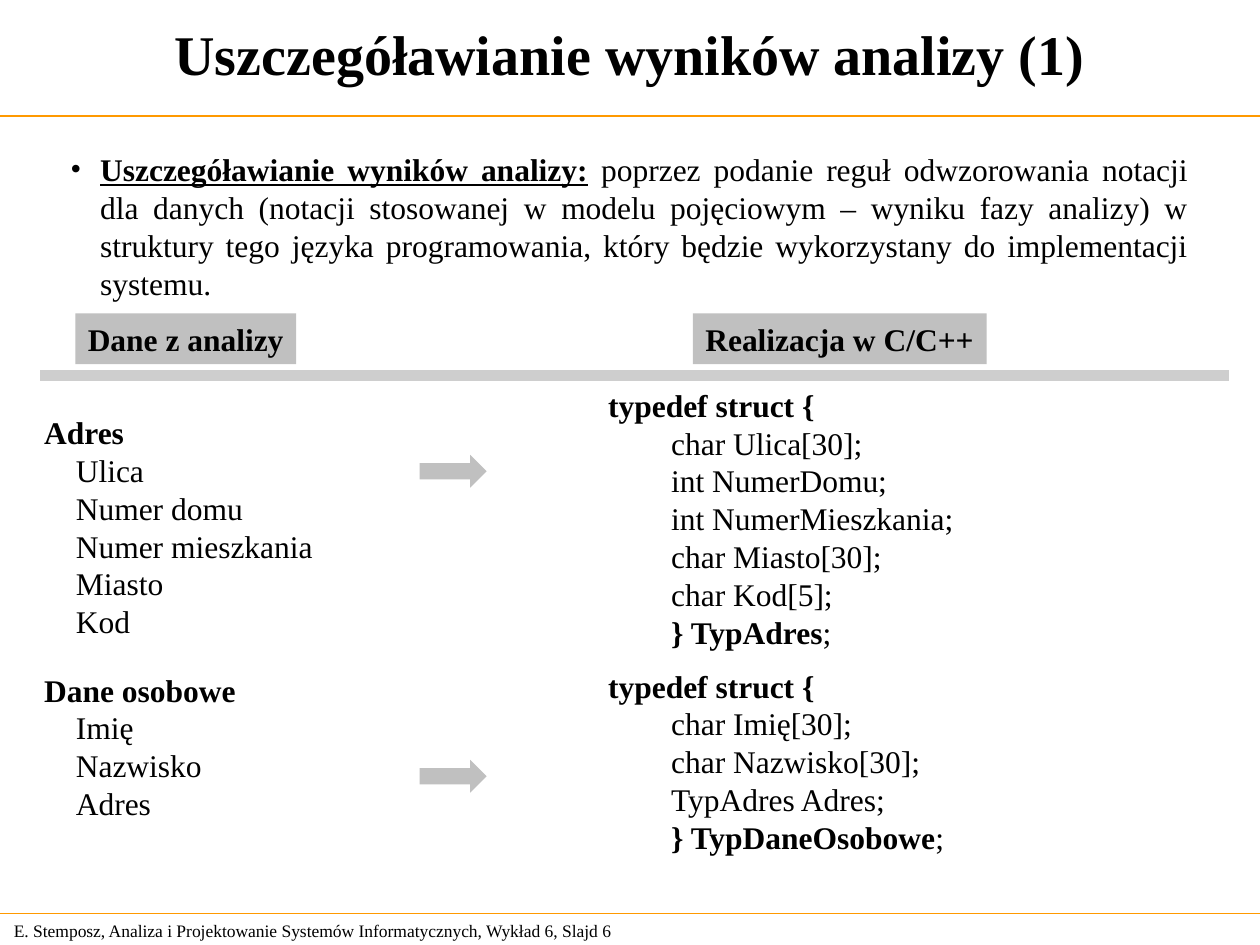
from lxml import etree
from pptx import Presentation
from pptx import util as u
from pptx.dml.color import RGBColor
from pptx.enum import shapes, text
from pptx.oxml.ns import qn

COLORS = {"ink": "000000", "gray": "C0C0C0", "bar": "CECECE", "rule": "FF9900"}
FONT = "Times New Roman"
MARGIN_X, MARGIN_Y = 0.25, 0.13

TITLE = "Uszczegóławianie wyników analizy (1)"
FOOTER = "E. Stemposz, Analiza i Projektowanie Systemów Informatycznych, Wykład 6, Slajd 6"
INTRO = [
    ("Uszczegóławianie wyników analizy:", "bu"),
    (" ", ""),
    ("poprzez podanie reguł odwzorowania notacji dla danych (notacji stosowanej "
     "w modelu pojęciowym – wyniku fazy analizy) w struktury tego języka "
     "programowania, który będzie wykorzystany do implementacji systemu.", ""),
]
HEADINGS = [("Dane z analizy", 1.52, 4.45), ("Realizacja w C/C++", 13.97, 5.92)]
ENTITIES = [
    ("Adres", ["Ulica", "Numer domu", "Numer mieszkania", "Miasto", "Kod"], 8.2, 4.83),
    ("Dane osobowe", ["Imię", "Nazwisko", "Adres"], 13.39, 3.3),
]
STRUCTS = [
    ("TypAdres", ["char Ulica[30];", "int NumerDomu;", "int NumerMieszkania;",
                  "char Miasto[30];", "char Kod[5];"]),
    ("TypDaneOsobowe", ["char Imię[30];", "char Nazwisko[30];", "TypAdres Adres;"]),
]
ARROW_TOPS = [9.17, 15.32]
RULE_TOPS = [2.34, 18.42]


def color(name):
    return RGBColor.from_string(COLORS[name])


def place(shape, left, top, width, height):
    shape.left, shape.top = u.Cm(left), u.Cm(top)
    shape.width, shape.height = u.Cm(width), u.Cm(height)


def add_paragraph(frame, content, size=18, style="", align=text.PP_ALIGN.LEFT,
                  indent=0, bullet=None, tab=None, before=0):
    paragraph = frame.paragraphs[0]
    if paragraph.runs:
        paragraph = frame.add_paragraph()
    properties = paragraph._p.get_or_add_pPr()
    properties.set("marL", str(u.Cm(indent)))
    properties.set("indent", str(u.Cm(-indent if bullet else 0)))
    if bullet:
        etree.SubElement(properties, qn("a:buFont"), typeface=FONT)
        etree.SubElement(properties, qn("a:buChar"), char=bullet)
    if tab:
        tabs = etree.SubElement(properties, qn("a:tabLst"))
        etree.SubElement(tabs, qn("a:tab"), pos=str(u.Cm(tab)), algn="l")
    paragraph.alignment = align
    paragraph.space_before = u.Pt(before)
    runs = [(content, style)] if isinstance(content, str) else content
    for words, run_style in runs:
        run = paragraph.add_run()
        run.text = words
        run.font.name = FONT
        run.font.size = u.Pt(size)
        run.font.bold = "b" in run_style
        run.font.underline = "u" in run_style
        run.font.color.rgb = color("ink")


def set_frame(shape, wrap=True, anchor=text.MSO_ANCHOR.TOP):
    frame = shape.text_frame
    frame.word_wrap = wrap
    frame.auto_size = text.MSO_AUTO_SIZE.NONE
    frame.vertical_anchor = anchor
    frame.margin_left = frame.margin_right = u.Cm(MARGIN_X)
    frame.margin_top = frame.margin_bottom = u.Cm(MARGIN_Y)
    return frame


def add_text_box(slide, left, top, width, height, **options):
    box = slide.shapes.add_textbox(0, 0, 0, 0)
    place(box, left, top, width, height)
    return set_frame(box, **options)


def add_gray_shape(slide, kind, left, top, width, height):
    shape = slide.shapes.add_shape(kind, 0, 0, 0, 0)
    place(shape, left, top, width, height)
    shape.shadow.inherit = False
    shape.fill.solid()
    shape.fill.fore_color.rgb = color("gray")
    shape.line.fill.background()
    return shape


def add_rule(slide, left, right, top, name, width):
    line = slide.shapes.add_connector(
        shapes.MSO_CONNECTOR.STRAIGHT, u.Cm(left), u.Cm(top), u.Cm(right), u.Cm(top))
    line.line.color.rgb = color(name)
    line.line.width = u.Pt(width)
    etree.SubElement(line._element.spPr, qn("a:effectLst"))


def main():
    presentation = Presentation()
    presentation.slide_width, presentation.slide_height = u.Cm(25.4), u.Cm(19.05)
    slide = presentation.slides.add_slide(presentation.slide_layouts[5])

    title = slide.shapes.title
    place(title, 0.1, 0, 25.2, 2.16)
    add_paragraph(set_frame(title, anchor=text.MSO_ANCHOR.MIDDLE), TITLE,
                  size=32, style="b", align=text.PP_ALIGN.CENTER)

    for top in RULE_TOPS:
        add_rule(slide, 0, 25.4, top, "rule", 0.75)
    footer = add_text_box(slide, 0.03, 18.42, 13.31, 0.69, anchor=text.MSO_ANCHOR.MIDDLE)
    add_paragraph(footer, FOOTER, size=10)

    intro = add_text_box(slide, 1.17, 2.9, 23.04, 3.3)
    add_paragraph(intro, INTRO, align=text.PP_ALIGN.JUSTIFY, indent=0.6, bullet="•")

    for heading, left, width in HEADINGS:
        label = add_gray_shape(slide, shapes.MSO_SHAPE.RECTANGLE, left, 6.32, width, 1.02)
        add_paragraph(set_frame(label, wrap=False), heading, style="b")
    add_rule(slide, 0.81, 24.77, 7.57, "bar", 6)

    for entity, fields, top, height in ENTITIES:
        frame = add_text_box(slide, 0.64, top, 6.2, height)
        add_paragraph(frame, entity, style="b")
        for field in fields:
            add_paragraph(frame, field, indent=0.64)

    code = add_text_box(slide, 12.01, 7.65, 8.74, 9.75)
    for index, (name, members) in enumerate(STRUCTS):
        add_paragraph(code, "typedef struct {", style="b", before=9.2 if index else 0)
        for member in members:
            add_paragraph(code, "\t" + member, tab=2.54)
        add_paragraph(code, [("\t} " + name, "b"), (";", "")], tab=2.54)

    for top in ARROW_TOPS:
        add_gray_shape(slide, shapes.MSO_SHAPE.RIGHT_ARROW, 8.46, top, 1.35, 0.66)

    presentation.save("out.pptx")


if __name__ == "__main__":
    main()
